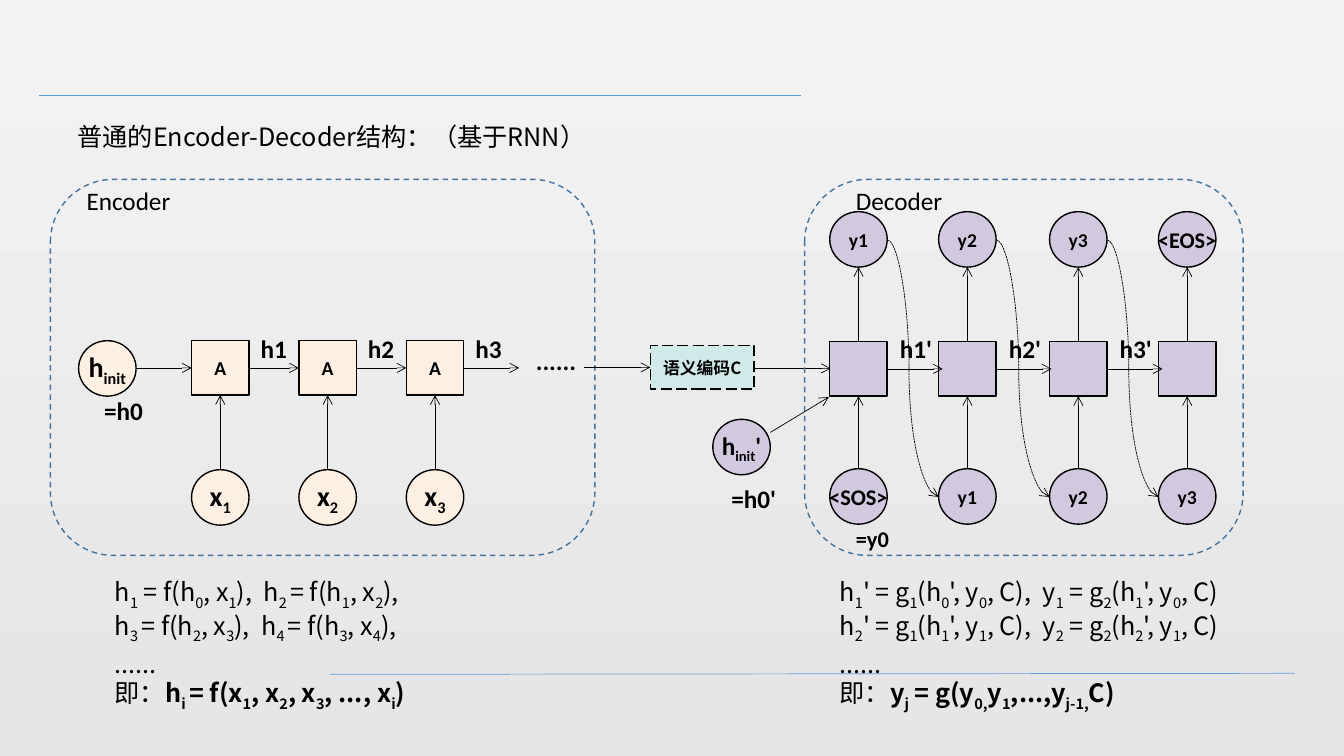
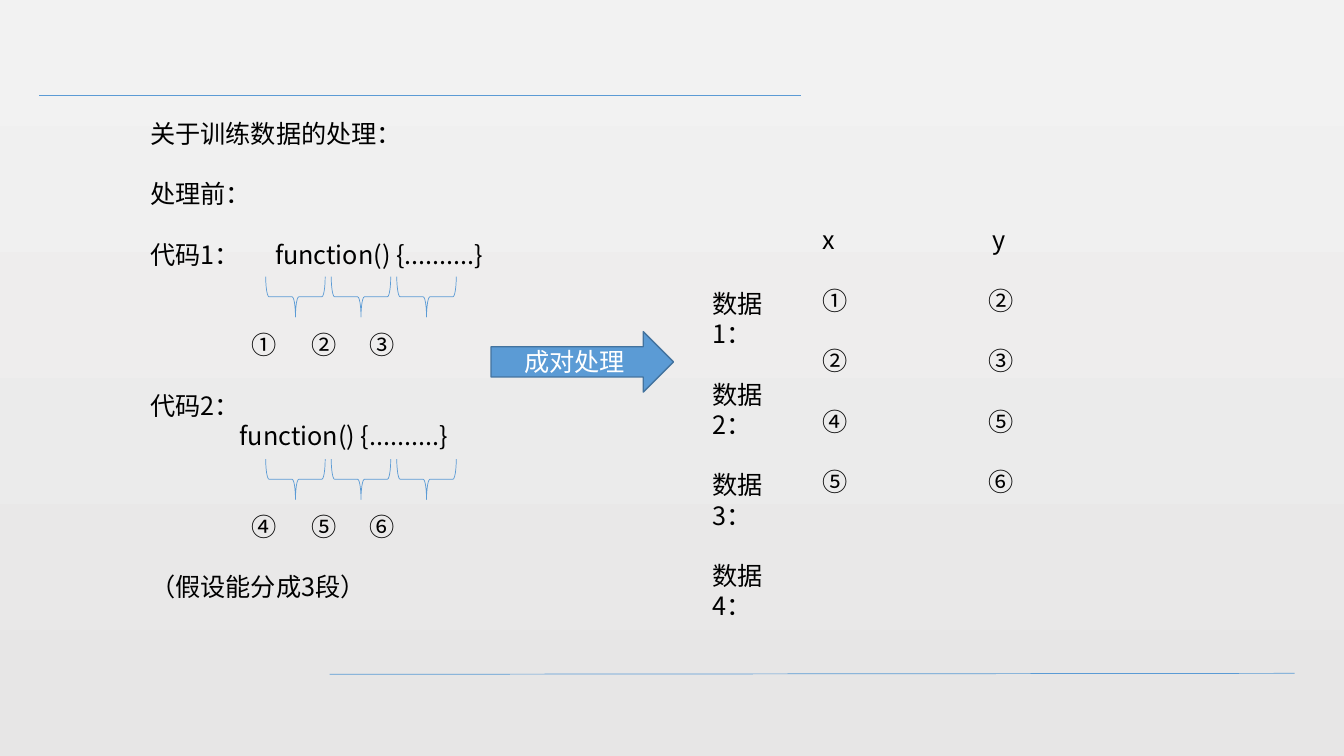
from lxml import etree
from pptx import Presentation
from pptx import util as u
from pptx.dml.color import RGBColor
from pptx.enum import dml, shapes, text
from pptx.oxml.ns import qn

COLORS = {
    "top": "F2F2F2", "bottom": "E7E6E6", "blue": "5B9BD5", "frame": "43739E",
    "ink": "000000", "white": "FFFFFF", "encoder": "FDEFE1", "decoder": "D2C9DE",
    "code": "D0EAE9",
}
CJK = "Noto Sans CJK SC"
LATIN = "Calibri"
CELL = (0.57, 0.54)
NODE = (0.57, 0.55)
LINE = 21.6
KIND = shapes.MSO_SHAPE
DASH = dml.MSO_LINE


def rgb(name):
    """Return the named colour."""
    return RGBColor.from_string(COLORS[name])


def add_runs(paragraph, content, size, font=LATIN, bold=False, color="ink"):
    """Write runs, with [..] as subscript and all after * in bold."""
    plain, _, strong = content.partition("*")
    for part, heavy in ((plain, bold), (strong, True)):
        for index, piece in enumerate(part.replace("]", "[").split("[")):
            if not piece:
                continue
            run = paragraph.add_run()
            run.text = piece
            run.font.size = u.Pt(size)
            run.font.bold = heavy
            run.font.name = font
            run.font.color.rgb = rgb(color)
            properties = run._r.get_or_add_rPr()
            etree.SubElement(properties, qn("a:ea"), typeface=font)
            if index % 2:
                properties.set("baseline", "-25000")


def add_text(slide, box, lines, size=18, font=LATIN, bold=False, center=False, pitch=None):
    """Add a text box; each line is (content, blank lines before, tab stops, indent)."""
    frame = slide.shapes.add_textbox(*map(u.Inches, box)).text_frame
    frame.word_wrap = True
    for index, (content, gap, tabs, indent) in enumerate(lines):
        paragraph = frame.paragraphs[0] if index == 0 else frame.add_paragraph()
        add_runs(paragraph, content, size, font, bold)
        if center:
            paragraph.alignment = text.PP_ALIGN.CENTER
        if pitch:
            paragraph.line_spacing = u.Pt(pitch)
            paragraph.space_before = u.Pt(pitch * gap)
        properties = paragraph._p.get_or_add_pPr()
        if indent:
            properties.set("marL", str(u.Inches(indent)))
            properties.set("indent", "0")
        if tabs:
            stops = etree.SubElement(properties, qn("a:tabLst"))
            for stop in tabs:
                etree.SubElement(stops, qn("a:tab"), pos=str(u.Inches(stop)), algn="l")


def plain_lines(*contents, gap=0):
    """Return evenly spaced lines without tabs or indents."""
    return [(content, gap if index else 0, (), 0) for index, content in enumerate(contents)]


def add_label(slide, box, content, size=18, bold=True, center=True):
    """Add a one-line label."""
    add_text(slide, box, plain_lines(content), size, bold=bold, center=center)


def add_block(slide, kind, box, fill=None, line="ink", width=1, dash=None,
              content="", size=14, font=LATIN, bold=True, color="ink"):
    """Add a preset shape with centred text."""
    shape = slide.shapes.add_shape(kind, *map(u.Inches, box))
    shape.shadow.inherit = False
    if fill:
        shape.fill.solid()
        shape.fill.fore_color.rgb = rgb(fill)
    else:
        shape.fill.background()
    shape.line.color.rgb = rgb(line)
    shape.line.width = u.Pt(width)
    if dash:
        shape.line.dash_style = dash
    if content:
        frame = shape.text_frame
        frame.margin_left = frame.margin_right = frame.margin_top = frame.margin_bottom = 0
        frame.word_wrap = False
        frame.vertical_anchor = text.MSO_ANCHOR.MIDDLE
        frame.paragraphs[0].alignment = text.PP_ALIGN.CENTER
        add_runs(frame.paragraphs[0], content, size, font, bold, color)
    return shape


def add_line(slide, start, end, color="ink", arrow=True, curved=False):
    """Add a thin line, by default an arrow."""
    kind = shapes.MSO_CONNECTOR.CURVE if curved else shapes.MSO_CONNECTOR.STRAIGHT
    line = slide.shapes.add_connector(kind, *map(u.Inches, (*start, *end)))
    line.line.color.rgb = rgb(color)
    line.line.width = u.Pt(0.5)
    properties = line._element.spPr
    if curved:
        line.line.dash_style = DASH.SQUARE_DOT
        guides = properties.find(".//" + qn("a:avLst"))
        etree.SubElement(guides, qn("a:gd"), name="adj1", fmla="val 42300")
    if arrow:
        etree.SubElement(line.line._get_or_add_ln(), qn("a:tailEnd"), type="arrow")
    etree.SubElement(properties, qn("a:effectLst"))


def add_slide(presentation):
    """Add a blank slide with the shared background and rules."""
    slide = presentation.slides.add_slide(presentation.slide_layouts[6])
    fill = slide.background.fill
    fill.gradient()
    fill.gradient_angle = 270
    for stop, name in zip(fill.gradient_stops, ("top", "bottom")):
        stop.color.rgb = rgb(name)
    add_line(slide, (0.39, 0.95), (7.94, 0.95), "blue", arrow=False)
    add_line(slide, (12.84, 6.68), (3.27, 6.69), "blue", arrow=False)
    return slide


def add_frame(slide, box, title, title_left):
    """Draw the dashed frame of a network half with its title."""
    left, top = box[:2]
    add_block(slide, KIND.ROUNDED_RECTANGLE, box, line="frame", dash=DASH.DASH)
    add_label(slide, (left + title_left, top + 0.01, 1.15, 0.4), title,
              bold=False, center=False)


def add_encoder(slide, box):
    """Draw the encoder chain inside its box."""
    left, top = box[:2]
    cell_top, node_top, middle = top + 1.6, top + 2.88, top + 1.87
    add_frame(slide, box, "Encoder", 0.26)
    add_block(slide, KIND.OVAL, (left + 0.28, cell_top, *NODE), "encoder",
              content="h[init]", size=20)
    add_label(slide, (left + 0.28, top + 2.09, 0.89, 0.4), "=h0")
    add_line(slide, (left + 0.85, middle), (left + 1.4, middle))
    for index in range(3):
        x = left + 1.4 + 1.065 * index
        center, right = x + CELL[0] / 2, x + CELL[0]
        arrow_end = x + (1.065 if index < 2 else 1.12)
        add_block(slide, KIND.RECTANGLE, (x, cell_top, *CELL), "encoder", content="A")
        add_block(slide, KIND.OVAL, (x, node_top, *NODE), "encoder",
                  content=f"x[{index + 1}]", size=20)
        add_line(slide, (center, node_top), (center, cell_top + CELL[1]))
        add_line(slide, (right, middle), (arrow_end, middle))
        add_label(slide, (right - 0.04, top + 1.48, 0.57, 0.4), f"h{index + 1}")
    add_label(slide, (left + 4.65, top + 1.6, 0.73, 0.4), "......")


def add_semantic_code(slide, box):
    """Draw the code passed from encoder to decoder."""
    left, top, width, height = box
    middle = top + height / 2
    add_line(slide, (left - 0.66, middle), (left, middle))
    add_block(slide, KIND.RECTANGLE, box, "code", dash=DASH.LONG_DASH,
              content="语义编码C", size=12, font=CJK)
    add_line(slide, (left + width, middle + 0.01), (left + width + 0.76, middle + 0.01))


def add_decoder(slide, box):
    """Draw the decoder chain inside its box and its initial state."""
    left, top = box[:2]
    output_top, cell_top, input_top = top + 0.32, top + 1.61, top + 2.87
    middle = top + 1.88
    columns = [left + offset for offset in (0.25, 1.33, 2.43, 3.51)]
    outputs = ("y1", "y2", "y3", "<EOS>")
    inputs = ("<SOS>", "y1", "y2", "y3")
    for x, output, source in zip(columns, outputs, inputs):
        center = x + CELL[0] / 2
        add_block(slide, KIND.RECTANGLE, (x, cell_top, *CELL), "decoder")
        for node_top, name in ((output_top, output), (input_top, source)):
            add_block(slide, KIND.OVAL, (x, node_top, *NODE), "decoder",
                      content=name, size=16 if "<" in name else 14)
        add_line(slide, (center, input_top), (center, cell_top + CELL[1]))
        add_line(slide, (center, cell_top), (center, output_top + NODE[1]))
    for index, (x, following) in enumerate(zip(columns, columns[1:]), 1):
        right = x + CELL[0]
        add_line(slide, (right, middle), (right + 0.55, middle))
        add_line(slide, (right, output_top + 0.28), (following, input_top + 0.28), curved=True)
        add_label(slide, (right, top + 1.48, 0.57, 0.4), f"h{index}'")
    add_frame(slide, box, "Decoder", 0.41)
    add_label(slide, (left + 0.41, top + 3.38, 0.92, 0.37), "=y0", 16, center=False)
    add_block(slide, KIND.OVAL, (left - 0.91, top + 2.38, *NODE), "decoder",
              content="h[init]'", size=18)
    add_line(slide, (left - 0.34, top + 2.51), (left + 0.24, top + 2.16))
    add_label(slide, (left - 0.91, top + 2.97, 0.81, 0.4), "=h0'")


def add_formulas(slide, box, *formulas):
    """Write the recurrences below a network half."""
    add_text(slide, box, plain_lines(*formulas), font=CJK, pitch=24)


def add_segments(slide, box):
    """Draw the three braces that split one code line."""
    left, top, width, height = box
    for index in range(3):
        brace = add_block(slide, KIND.RIGHT_BRACE, (left + 0.65 * index, top, width, height),
                          line="blue", width=0.5)
        brace.rotation = 90


def add_source_code(slide, box):
    """Write the training code and mark its segments."""
    left, top = box[:2]
    segment_tabs = (1.01, 1.6, 2.18)
    add_text(slide, box, [
        ("关于训练数据的处理：", 0, (), 0),
        ("处理前：", 1, (), 0),
        ("代码1：\tfunction() {..........}", 1, (1.24,), 0),
        ("\t①\t②\t③", 2, segment_tabs, 0),
        ("代码2：", 1, (), 0),
        ("function() {..........}", 0, (), 0.89),
        ("\t④\t⑤\t⑥", 2, segment_tabs, 0),
        ("（假设能分成3段）", 1, (), 0),
    ], font=CJK, pitch=LINE)
    for offset in (1.53, 3.34):
        add_segments(slide, (left + 1.34, top + offset, 0.4, 0.59))


def add_pairs(slide, box):
    """Write the paired training data."""
    left, top, width, height = box
    rows = [("x\ty", 0, (1.69,), 0)]
    rows += [(f"{x}\t{y}", 1, (1.65,), 0) for x, y in ("①②", "②③", "④⑤", "⑤⑥")]
    add_text(slide, (left + 1.09, top, width - 1.09, height), rows, font=CJK, pitch=LINE)
    names = plain_lines(*(f"数据{number}：" for number in range(1, 5)), gap=1)
    add_text(slide, (left, top + 0.63, 1, 3.4), names, font=CJK, pitch=LINE)


def build_network_slide(presentation):
    """Build the encoder-decoder slide."""
    slide = add_slide(presentation)
    add_text(slide, (0.67, 1.15, 6.36, 0.4),
             plain_lines("普通的Encoder-Decoder结构：（基于RNN）"), font=CJK)
    add_encoder(slide, (0.5, 1.78, 5.4, 3.73))
    add_semantic_code(slide, (6.45, 3.43, 1.03, 0.43))
    add_decoder(slide, (7.98, 1.78, 4.35, 3.73))
    add_formulas(slide, (1.04, 5.68, 4.94, 1.31),
                 "h[1] = f(h[0], x[1]),  h[2 ]= f(h[1], x[2]),",
                 "h[3 ]= f(h[2], x[3]),  h[4 ]= f(h[3], x[4]),",
                 "......",
                 "即：*h[i ]= f(x[1], x[2], x[3], ..., x[i])")
    add_formulas(slide, (8.23, 5.68, 4.9, 1.31),
                 "h[1]' = g[1](h[0]', y[0], C),  y[1] = g[2](h[1]', y[0], C)",
                 "h[2]' = g[1](h[1]', y[1], C),  y[2] = g[2](h[2]', y[1], C)",
                 "......",
                 "即：*y[j] = g(y[0,]y[1],...,y[j-1,]C)")


def build_data_slide(presentation):
    """Build the training data slide."""
    slide = add_slide(presentation)
    add_source_code(slide, (1.39, 1.12, 5.97, 5.55))
    add_block(slide, KIND.RIGHT_ARROW, (4.87, 3.29, 1.81, 0.6), "blue", "frame",
              content="成对处理", size=18, font=CJK, bold=False, color="white")
    add_pairs(slide, (6.97, 2.18, 6.3, 2.83))


def main():
    """Build and save the presentation."""
    presentation = Presentation()
    presentation.slide_width = u.Inches(13.33)
    presentation.slide_height = u.Inches(7.5)
    build_network_slide(presentation)
    build_data_slide(presentation)
    presentation.save("out.pptx")


main()
